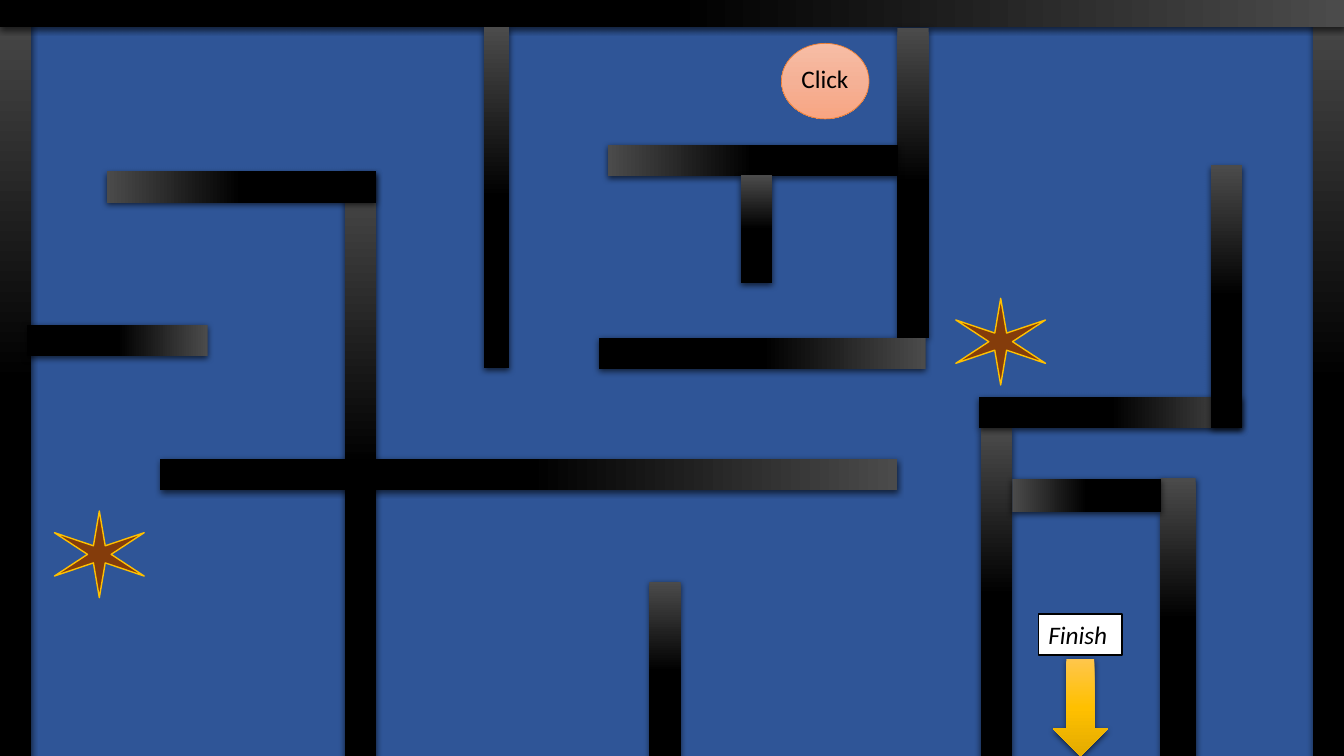
import copy
from dataclasses import dataclass

import lxml.etree
import pptx
import pptx.util
from pptx.dml.color import RGBColor
from pptx.enum.shapes import MSO_SHAPE
from pptx.enum.text import PP_ALIGN, MSO_ANCHOR
from pptx.oxml.ns import qn
from pptx.util import Inches


@dataclass(frozen=True)
class Theme:
    font: str = "Calibri"
    text_size: int = 18
    floor: str = "2F5597"
    ink: str = "000000"
    paper: str = "FFFFFF"
    gold: str = "FFC000"
    star: str = "843C0B"
    button_line: str = "ED7D31"
    wall_stops: tuple = ("4B4B4B", "000000", "000000")
    button_stops: tuple = ("F7BDA5", "F5B196", "F8A582")
    arrow_stops: tuple = ("FFC64B", "FFC000", "E3AB00")


THEME = Theme()
LIGHT_TOP, LIGHT_RIGHT, LIGHT_LEFT = 0, 90, 270

# Visible left, top, width, height in inches, and which end is light
WALLS = [
    (0, 0, 0.31, 7.58, LIGHT_TOP),
    (13.02, 0, 0.31, 7.58, LIGHT_TOP),
    (0, 0, 13.33, 0.27, LIGHT_RIGHT),
    (4.8, 0.27, 0.25, 3.38, LIGHT_TOP),
    (3.42, 1.7, 0.31, 5.88, LIGHT_TOP),
    (1.06, 1.7, 2.67, 0.31, LIGHT_LEFT),
    (1.59, 4.55, 7.31, 0.31, LIGHT_RIGHT),
    (9.73, 4.25, 0.31, 3.32, LIGHT_TOP),
    (9.71, 3.94, 2.61, 0.31, LIGHT_RIGHT),
    (12.01, 1.64, 0.31, 2.61, LIGHT_TOP),
    (8.9, 0.28, 0.31, 3.07, LIGHT_TOP),
    (5.94, 3.35, 3.24, 0.31, LIGHT_RIGHT),
    (6.44, 5.77, 0.31, 1.79, LIGHT_TOP),
    (11.51, 4.74, 0.35, 2.82, LIGHT_TOP),
    (0.27, 3.22, 1.79, 0.31, LIGHT_RIGHT),
    (6.03, 1.44, 2.88, 0.31, LIGHT_LEFT),
    (7.35, 1.74, 0.31, 1.07, LIGHT_TOP),
    (10.04, 4.75, 1.48, 0.33, LIGHT_LEFT),
]
STARS = [(9.48, 2.96), (0.54, 5.07)]


def add_shape(page, kind, left, top, width, height, fill, line=None, line_width=1):
    """Add a shape filled with one colour, or with a downward gradient of three."""
    shape = page.shapes.add_shape(
        kind, Inches(left), Inches(top), Inches(width), Inches(height))
    shape.shadow.inherit = False
    if isinstance(fill, str):
        shape.fill.solid()
        shape.fill.fore_color.rgb = RGBColor.from_string(fill)
    else:
        fill_gradient(shape, fill)
    if line:
        shape.line.color.rgb = RGBColor.from_string(line)
        shape.line.width = pptx.util.Pt(line_width)
    else:
        shape.line.fill.background()
    return shape


def fill_gradient(shape, colours):
    shape.fill.gradient()
    shape.fill.gradient_angle = 270
    stop_list = shape._element.spPr.find(".//" + qn("a:gsLst"))
    stop_list.insert(1, copy.deepcopy(stop_list[0]))
    for index, (stop, colour) in enumerate(zip(shape.fill.gradient_stops, colours)):
        stop.color.rgb = RGBColor.from_string(colour)
        stop.position = index / (len(colours) - 1)


def add_drop_shadow(shape):
    effects = shape._element.spPr.find(qn("a:effectLst"))
    shadow = lxml.etree.SubElement(
        effects, qn("a:outerShdw"), blurRad="57150", dist="19050",
        dir="5400000", algn="ctr", rotWithShape="0")
    colour = lxml.etree.SubElement(shadow, qn("a:srgbClr"), val=THEME.ink)
    lxml.etree.SubElement(colour, qn("a:alpha"), val="63000")


def add_wall(page, left, top, width, height, turn):
    """Add a wall that covers the given box once it has been turned."""
    if turn != LIGHT_TOP:
        left, top = left + (width - height) / 2, top + (height - width) / 2
        width, height = height, width
    wall = add_shape(page, MSO_SHAPE.RECTANGLE, left, top, width, height,
                     THEME.wall_stops)
    wall.rotation = turn
    add_drop_shadow(wall)


def add_star(page, left, top):
    star = add_shape(page, MSO_SHAPE.STAR_6_POINT, left, top, 0.89, 0.86,
                     THEME.star, THEME.gold)
    star.adjustments[0] = 0.114


def write_label(shape, text, italic=False):
    frame = shape.text_frame
    frame.word_wrap = True
    frame.vertical_anchor = MSO_ANCHOR.TOP
    para = frame.paragraphs[0]
    para.text = text
    para.alignment = PP_ALIGN.LEFT
    para.font.name = THEME.font
    para.font.size = pptx.util.Pt(THEME.text_size)
    para.font.italic = italic
    para.font.color.rgb = RGBColor.from_string(THEME.ink)


def add_start(page, left, top):
    add_shape(page, MSO_SHAPE.OVAL, left, top, 0.87, 0.75,
              THEME.button_stops, THEME.button_line, 0.5)
    label = page.shapes.add_textbox(
        Inches(left + 0.1), Inches(top + 0.15), Inches(1.04), Inches(0.4))
    write_label(label, "Click")


def add_finish(page, left, top):
    arrow = add_shape(page, MSO_SHAPE.DOWN_ARROW, left + 0.14, top + 0.45,
                      0.55, 0.96, THEME.arrow_stops)
    add_drop_shadow(arrow)
    sign = add_shape(page, MSO_SHAPE.RECTANGLE, left, top, 0.83, 0.41,
                     THEME.paper, THEME.ink)
    write_label(sign, "Finish", italic=True)


def build_maze(page):
    add_shape(page, MSO_SHAPE.RECTANGLE, 0, -0.02, 13.33, 7.58,
              THEME.floor, THEME.ink)
    for wall in WALLS:
        add_wall(page, *wall)
    add_start(page, 7.75, 0.43)
    add_finish(page, 10.3, 6.09)
    for star in STARS:
        add_star(page, *star)


def main():
    deck = pptx.Presentation()
    deck.slide_width, deck.slide_height = Inches(13.33), Inches(7.5)
    build_maze(deck.slides.add_slide(deck.slide_layouts[6]))
    deck.save("out.pptx")


if __name__ == "__main__":
    main()
